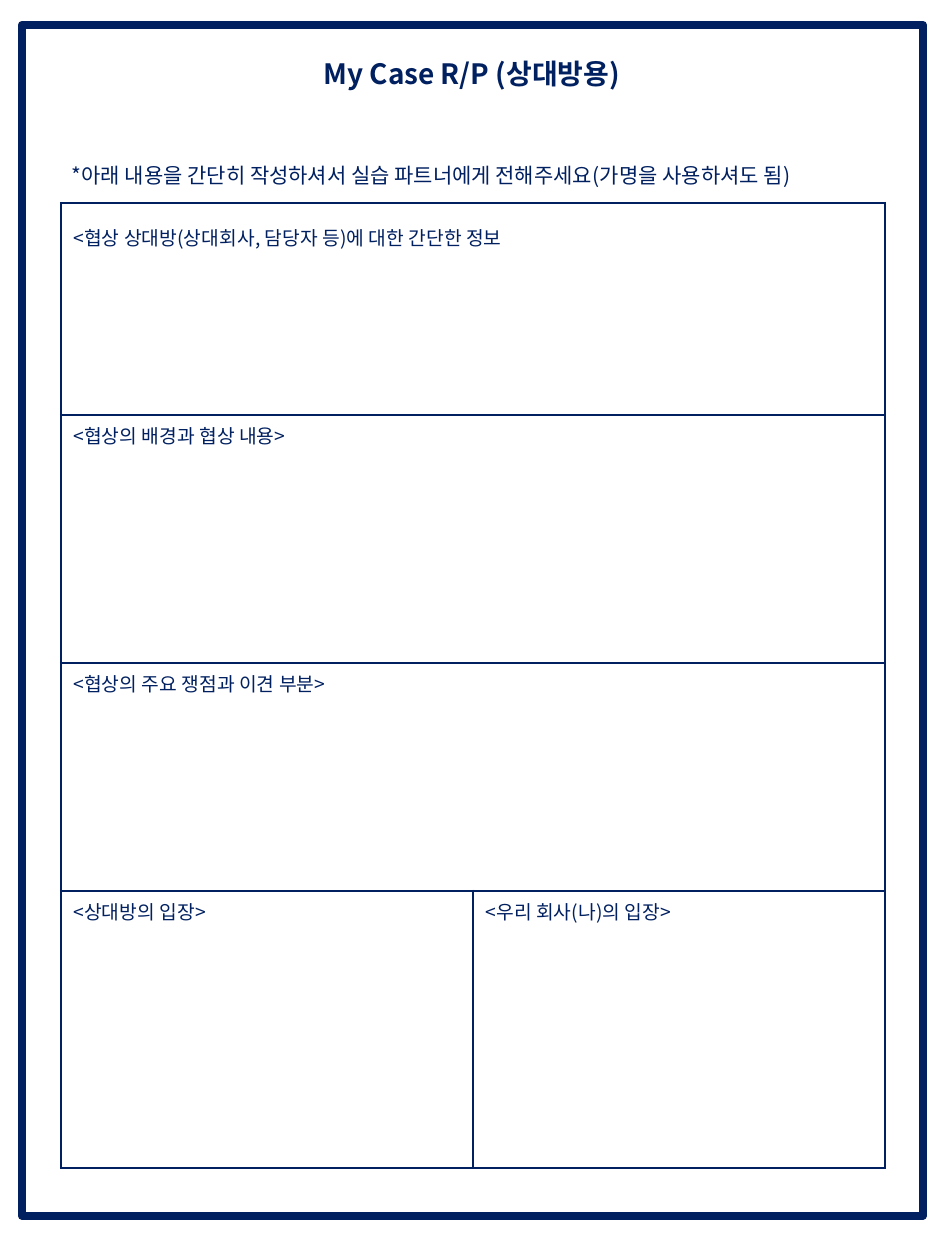
from dataclasses import dataclass

from pptx import Presentation
from pptx.dml.color import RGBColor
from pptx.enum.shapes import MSO_SHAPE as Shape
from pptx.enum.text import MSO_ANCHOR as Anchor, PP_ALIGN as Align
from pptx.oxml.ns import qn
from pptx.util import Pt
from lxml.etree import SubElement


@dataclass(frozen=True)
class Theme:
    navy: str = "002060"
    font: str = "Noto Sans CJK KR"
    title: float = 16
    note: float = 12
    body: float = 11
    frame_line: float = 4.5
    cell_line: float = 1.5


THEME = Theme()
NAVY = RGBColor.from_string(THEME.navy)

COLUMNS = [235.5, 235.5]
ROWS = [121, 142, 130, 158.5]
# One list per row; a lone entry spans every column
CELLS = [
    ["<협상 상대방(상대회사, 담당자 등)에 대한 간단한 정보"],
    ["<협상의 배경과 협상 내용>"],
    ["<협상의 주요 쟁점과 이견 부분>"],
    ["<상대방의 입장>", "<우리 회사(나)의 입장>"],
]


def write(text_frame, text, *, size, bold=False, align=Align.LEFT, spacing=None):
    para = text_frame.paragraphs[0]
    para.alignment = align
    para.line_spacing = spacing
    span = para.add_run()
    span.text = text
    font = span.font
    font.size, font.bold, font.name = Pt(size), bold, THEME.font
    font.color.rgb = NAVY
    SubElement(font._element, qn("a:ea"), typeface=THEME.font)


def add_text(page, left, top, width, height, text, **style):
    box = page.shapes.add_textbox(Pt(left), Pt(top), Pt(width), Pt(height))
    box.text_frame.word_wrap = True
    box.text_frame.vertical_anchor = Anchor.MIDDLE
    write(box.text_frame, text, **style)


def add_frame(page, left, top, width, height):
    frame = page.shapes.add_shape(
        Shape.RECTANGLE, Pt(left), Pt(top), Pt(width), Pt(height))
    frame.shadow.inherit = False
    frame.fill.background()
    frame.line.color.rgb = NAVY
    frame.line.width = Pt(THEME.frame_line)


def style_cell(cell):
    # Borders must come before the fill in the cell properties
    props = cell._tc.get_or_add_tcPr()
    for side in ("lnL", "lnR", "lnT", "lnB"):
        line = SubElement(props, qn(f"a:{side}"), w=str(Pt(THEME.cell_line)))
        fill = SubElement(line, qn("a:solidFill"))
        SubElement(fill, qn("a:srgbClr"), val=THEME.navy)
    cell.fill.background()


def add_form(page, left, top):
    table = page.shapes.add_table(
        len(ROWS), len(COLUMNS), Pt(left), Pt(top),
        Pt(sum(COLUMNS)), Pt(sum(ROWS))).table
    table.first_row = table.horz_banding = False
    for column, width in zip(table.columns, COLUMNS):
        column.width = Pt(width)
    for row, height in zip(table.rows, ROWS):
        row.height = Pt(height)
    for cell in table.iter_cells():
        style_cell(cell)

    for index, texts in enumerate(CELLS):
        if len(texts) == 1:
            table.cell(index, 0).merge(table.cell(index, len(COLUMNS) - 1))
        for column, text in enumerate(texts):
            write(table.cell(index, column).text_frame, text, size=THEME.body,
                  spacing=1.5 if index == 0 else None)


def main():
    deck = Presentation()
    deck.slide_width, deck.slide_height = Pt(540), Pt(720)
    page = deck.slides.add_slide(deck.slide_layouts[6])

    # Title and page frame
    add_text(page, 116.5, 31, 306, 22, "My Case R/P (상대방용)",
             size=THEME.title, bold=True, align=Align.CENTER)
    add_frame(page, 12.5, 14.2, 515, 680.5)

    # Form and its instruction
    add_form(page, 34.8, 116)
    add_text(page, 34, 89, 493, 22,
             "*아래 내용을 간단히 작성하셔서 실습 파트너에게 전해주세요"
             "(가명을 사용하셔도 됨)", size=THEME.note)

    deck.save("out.pptx")


if __name__ == "__main__":
    main()
